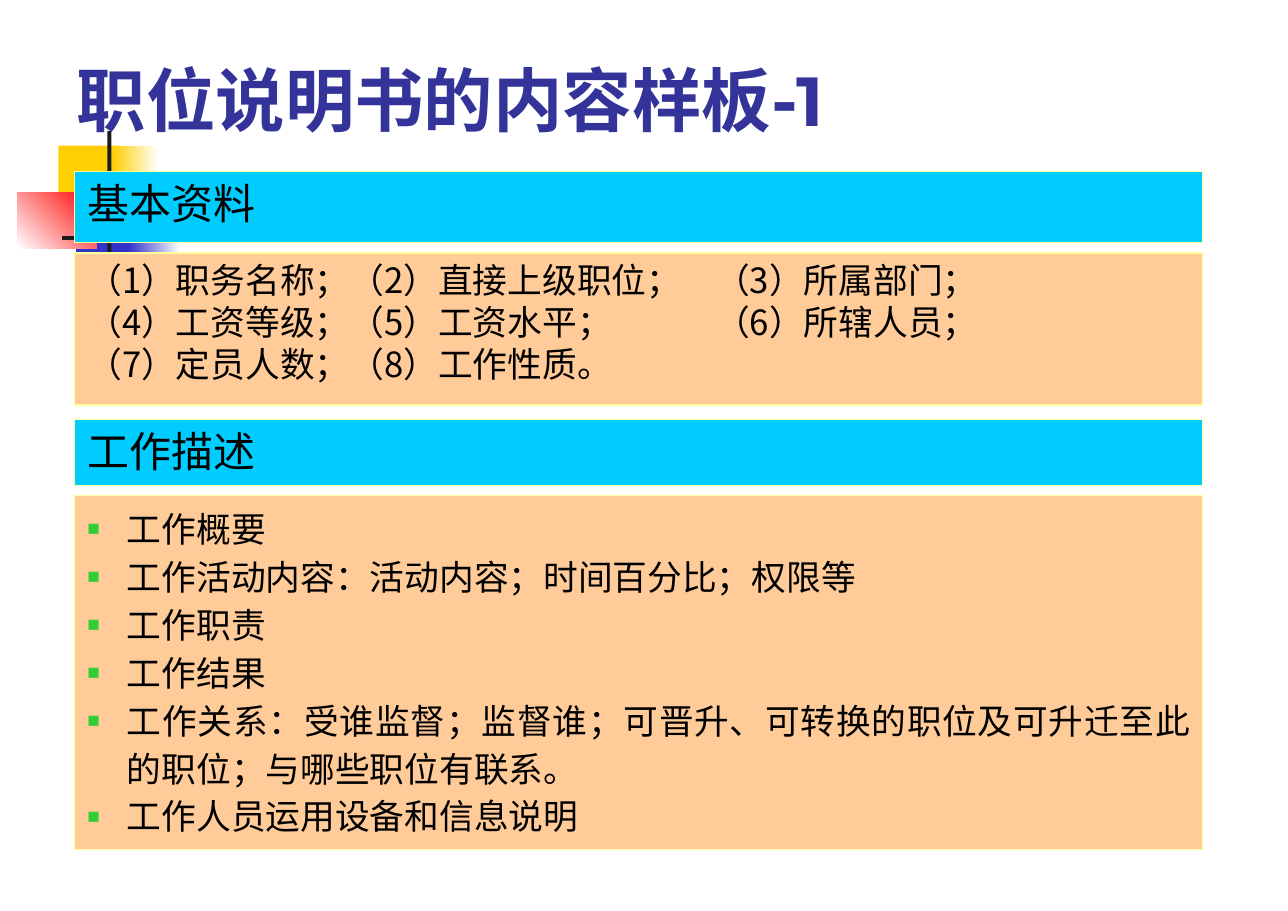
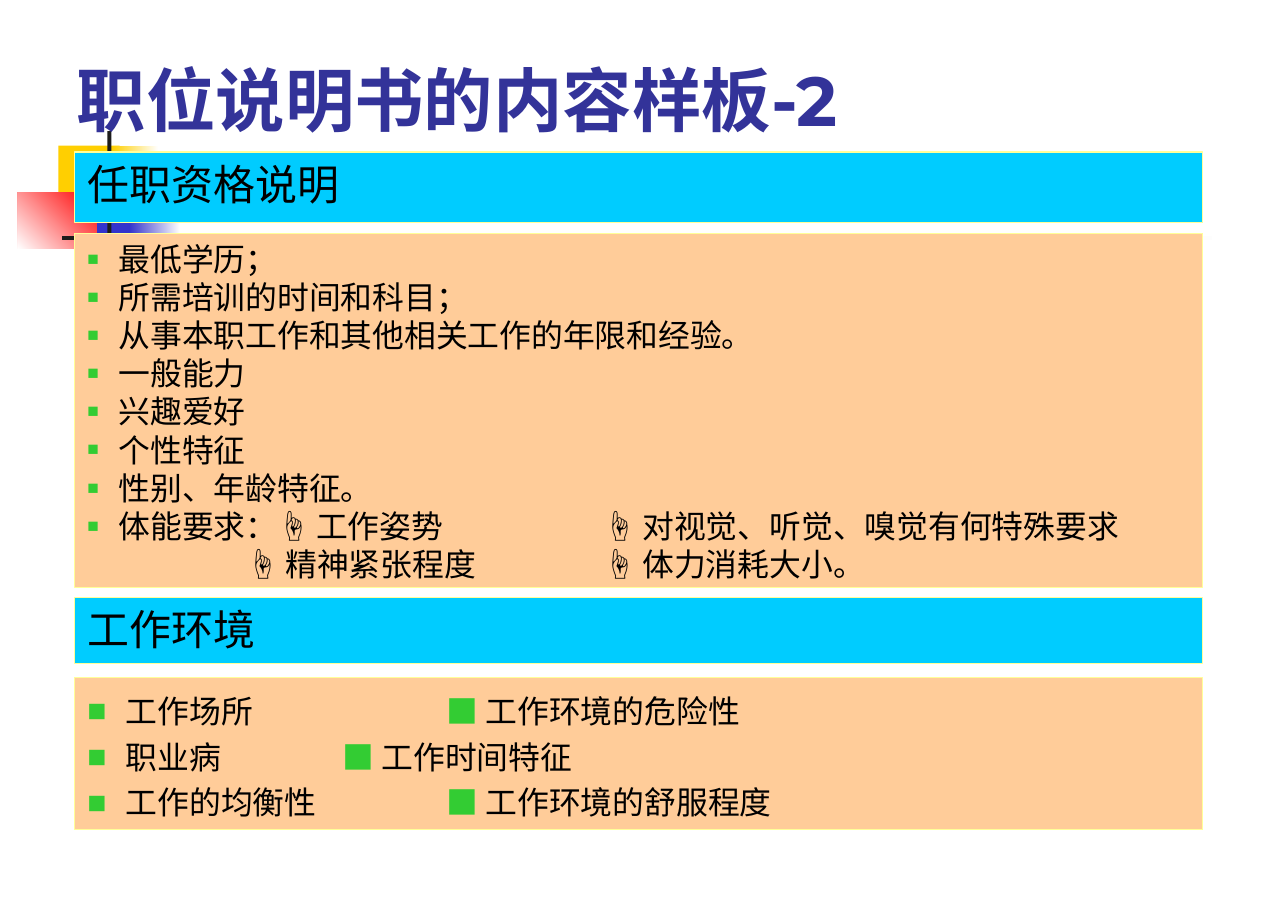
from dataclasses import dataclass
from itertools import groupby

from lxml import etree
from pptx import Presentation
from pptx.dml.color import RGBColor
from pptx.enum.shapes import MSO_SHAPE
from pptx.enum.text import MSO_ANCHOR, MSO_AUTO_SIZE, PP_ALIGN
from pptx.oxml.ns import qn
from pptx.util import Pt

RECTANGLE = MSO_SHAPE.RECTANGLE
TOP, MIDDLE = MSO_ANCHOR.TOP, MSO_ANCHOR.MIDDLE
LEFT, JUSTIFY = PP_ALIGN.LEFT, PP_ALIGN.JUSTIFY
NO_AUTOFIT = MSO_AUTO_SIZE.NONE
TITLE_ONLY = 5
BULLET, HAND = "■", "☝"


@dataclass(frozen=True)
class Theme:
    white: str = "FFFFFF"
    black: str = "000000"
    ink: str = "1C1C1C"
    title: str = "333399"
    heading: str = "00CCFF"
    panel: str = "FFCC99"
    border: str = "FFFF99"
    bullet: str = "33CC33"
    yellow: str = "FFCF01"
    blue: str = "3333CC"
    red: str = "FF0000"
    title_font: str = "Montserrat"
    body_font: str = "Noto Sans CJK SC"
    symbol_font: str = "Arial"
    title_size: float = 48
    heading_size: float = 29
    large_size: float = 24
    small_size: float = 22


THEME = Theme()


def color(value):
    return RGBColor.from_string(value)


def add_property(paragraph, tag, **attributes):
    properties = paragraph._p.get_or_add_pPr()
    return etree.SubElement(properties, qn(tag), attributes)


def set_bullet(paragraph, percent, indent):
    properties = paragraph._p.get_or_add_pPr()
    properties.set("marL", str(Pt(indent)))
    properties.set("indent", str(-Pt(indent)))
    bullet_color = add_property(paragraph, "a:buClr")
    etree.SubElement(bullet_color, qn("a:srgbClr"), val=THEME.bullet)
    add_property(paragraph, "a:buSzPct", val=str(percent * 1000))
    add_property(paragraph, "a:buFont", typeface=THEME.symbol_font)
    add_property(paragraph, "a:buChar", char=BULLET)


def set_tabs(paragraph, positions):
    tabs = add_property(paragraph, "a:tabLst")
    for position in positions:
        etree.SubElement(tabs, qn("a:tab"), pos=str(Pt(position)), algn="l")


def write(paragraph, text, *, size, font=THEME.body_font, fill=THEME.black,
          bold=False, align=LEFT, spacing=None, bullet=None, indent=0, tabs=()):
    if bullet:
        set_bullet(paragraph, bullet, indent)
    if tabs:
        set_tabs(paragraph, tabs)
    paragraph.alignment = align
    if spacing:
        paragraph.line_spacing = spacing
    for symbol, characters in groupby(text, lambda c: c if c in (BULLET, HAND) else ""):
        run = paragraph.add_run()
        run.text = "".join(characters)
        run.font.name = THEME.symbol_font if symbol else font
        run.font.size = Pt(size)
        run.font.bold = bold
        run.font.color.rgb = color(THEME.bullet if symbol == BULLET else fill)


class Deck:
    left, width = 51.8, 779.8

    def __init__(self):
        self.presentation = Presentation()
        self.presentation.slide_width = Pt(890.6)
        self.presentation.slide_height = Pt(630)
        self.layout = self.presentation.slide_layouts[TITLE_ONLY]
        self.slide = None

    def add_slide(self, title):
        self.slide = self.presentation.slides.add_slide(self.layout)
        shape = self.slide.shapes.title
        shape.left, shape.top = Pt(44.6), Pt(35.3)
        shape.width, shape.height = Pt(self.width), Pt(66.2)
        self.frame(shape, MIDDLE)
        write(shape.text_frame.paragraphs[0], title, size=THEME.title_size,
              font=THEME.title_font, fill=THEME.title, bold=True)

    def frame(self, shape, anchor):
        frame = shape.text_frame
        frame.word_wrap = True
        frame.auto_size = NO_AUTOFIT
        frame.vertical_anchor = anchor
        frame.margin_left = frame.margin_right = Pt(8.6)
        frame.margin_top = frame.margin_bottom = Pt(4.3)
        return frame

    def rectangle(self, left, top, width, height, fill, end=None, angle=180):
        shape = self.slide.shapes.add_shape(
            RECTANGLE, Pt(left), Pt(top), Pt(width), Pt(height))
        shape.shadow.inherit = False
        shape.line.fill.background()
        if end:
            shape.fill.gradient()
            shape.fill.gradient_angle = angle
            for stop, position, value in zip(shape.fill.gradient_stops, (0, 1), (fill, end)):
                stop.position = position
                stop.color.rgb = color(value)
        else:
            shape.fill.solid()
            shape.fill.fore_color.rgb = color(fill)
        return shape

    def decorate_layout(self):
        ornaments = (
            self.rectangle(40.3, 100.8, 42.5, 43.2, THEME.yellow),
            self.rectangle(77.8, 100.8, 31.7, 43.2, THEME.white, THEME.yellow),
            self.rectangle(52.6, 139.7, 41, 43.9, THEME.blue),
            self.rectangle(89.3, 139.7, 35.3, 43.9, THEME.white, THEME.blue),
            self.rectangle(12.2, 133.2, 54.7, 38.9, THEME.red, THEME.white, 225),
            self.rectangle(74.2, 90.7, 2.9, 96.5, THEME.ink),
            self.rectangle(43.2, 163.4, 802.1, 2.9, THEME.white, THEME.ink),
        )
        for shape in ornaments:
            self.layout.shapes.element.append(shape.element)

    def box(self, top, height, fill):
        shape = self.rectangle(self.left, top, self.width, height, fill)
        shape.line.color.rgb = color(THEME.border)
        shape.line.width = Pt(0.75)
        return self.frame(shape, TOP)

    def heading(self, text, top, height):
        frame = self.box(top, height, THEME.heading)
        write(frame.paragraphs[0], text, size=THEME.heading_size)

    def panel(self, lines, top, height, **style):
        frame = self.box(top, height, THEME.panel)
        for index, line in enumerate(lines):
            text, changes = line if isinstance(line, tuple) else (line, {})
            paragraph = frame.add_paragraph() if index else frame.paragraphs[0]
            write(paragraph, text, **{"align": JUSTIFY, **style, **changes})


def main():
    deck = Deck()

    deck.add_slide("职位说明书的内容样板-1")
    deck.decorate_layout()
    deck.heading("基本资料", 118.8, 49)
    deck.panel([
        "（1）职务名称；（2）直接上级职位；\t（3）所属部门；",
        "（4）工资等级；（5）工资水平；\t（6）所辖人员；",
        "（7）定员人数；（8）工作性质。",
    ], 175, 105.1, size=THEME.large_size, tabs=[434.2])
    deck.heading("工作描述", 290.2, 45.4)
    deck.panel([
        "工作概要",
        "工作活动内容：活动内容；时间百分比；权限等",
        "工作职责",
        "工作结果",
        "工作关系：受谁监督；监督谁；可晋升、可转换的职位及可升迁至此的职位；与哪些职位有联系。",
        "工作人员运用设备和信息说明",
    ], 342.7, 244.8, size=THEME.large_size, spacing=1.15, bullet=60, indent=27.4)

    deck.add_slide("职位说明书的内容样板-2")
    deck.heading("任职资格说明", 105.1, 49)
    deck.panel([
        "最低学历；",
        "所需培训的时间和科目；",
        "从事本职工作和其他相关工作的年限和经验。",
        "一般能力",
        "兴趣爱好",
        "个性特征",
        "性别、年龄特征。",
        ("体能要求：☝ 工作姿势\t☝ 对视觉、听觉、嗅觉有何特殊要求", {"tabs": [357]}),
        ("\t☝ 精神紧张程度\t☝ 体力消耗大小。", {"tabs": [110, 357], "bullet": None}),
    ], 161.3, 244.8, size=THEME.small_size, bullet=60, indent=21.6)
    deck.heading("工作环境", 413.3, 45.4)
    deck.panel([
        "工作场所\t■ 工作环境的危险性",
        ("职业病\t■ 工作时间特征", {"tabs": [176.6]}),
        "工作的均衡性\t■ 工作环境的舒服程度",
    ], 468.7, 105.1, size=THEME.small_size, spacing=1.2, bullet=100, indent=26.6, tabs=[248.6])

    deck.presentation.save("out.pptx")


if __name__ == "__main__":
    main()
